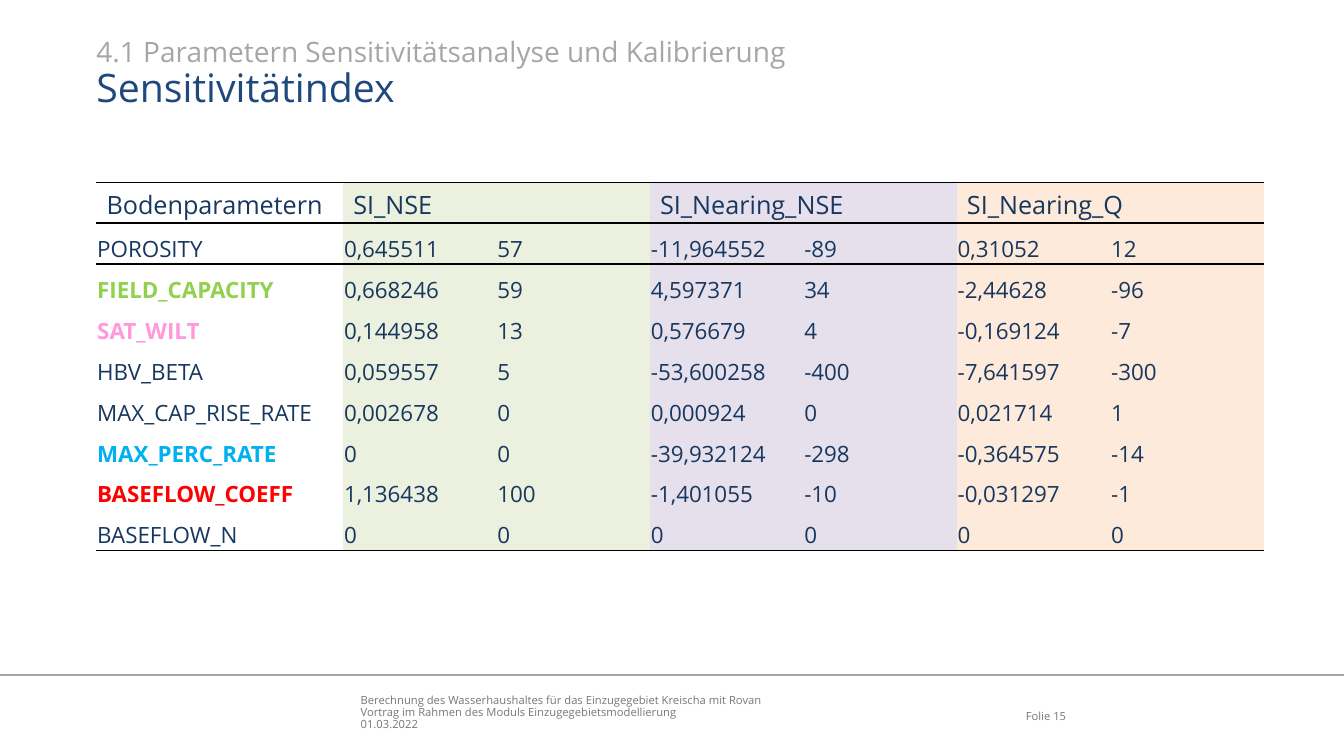
from lxml import etree
from pptx import Presentation
from pptx.dml.color import RGBColor
from pptx.enum import shapes, text
from pptx.oxml import ns
from pptx.util import Cm, Pt

FONT = "Open Sans"
GREY = RGBColor(0xA6, 0xA6, 0xA6)
FOOTER_GREY = RGBColor(0x72, 0x78, 0x79)
TITLE_BLUE = RGBColor(0x1F, 0x49, 0x7D)
TEXT_BLUE = RGBColor(0x17, 0x37, 0x5E)
GREEN = RGBColor(0x92, 0xD0, 0x50)
PINK = RGBColor(0xFF, 0x98, 0xDD)
CYAN = RGBColor(0x00, 0xB0, 0xF0)
RED = RGBColor(0xFF, 0x00, 0x00)
PALE_GREEN = RGBColor(0xEB, 0xF1, 0xDE)
PALE_PURPLE = RGBColor(0xE6, 0xE0, 0xEC)
PALE_ORANGE = RGBColor(0xFD, 0xEA, 0xDA)

NO_TABLE_STYLE = "{2D5ABB26-0587-4C30-8999-92F81FD0307C}"
INDEX_GROUPS = [
    ("SI_NSE", PALE_GREEN),
    ("SI_Nearing_NSE", PALE_PURPLE),
    ("SI_Nearing_Q", PALE_ORANGE),
]
PARAMETERS = [
    ("POROSITY", "0,645511", "57", "-11,964552", "-89", "0,31052", "12"),
    ("FIELD_CAPACITY", "0,668246", "59", "4,597371", "34", "-2,44628", "-96"),
    ("SAT_WILT", "0,144958", "13", "0,576679", "4", "-0,169124", "-7"),
    ("HBV_BETA", "0,059557", "5", "-53,600258", "-400", "-7,641597", "-300"),
    ("MAX_CAP_RISE_RATE", "0,002678", "0", "0,000924", "0", "0,021714", "1"),
    ("MAX_PERC_RATE", "0", "0", "-39,932124", "-298", "-0,364575", "-14"),
    ("BASEFLOW_COEFF", "1,136438", "100", "-1,401055", "-10", "-0,031297", "-1"),
    ("BASEFLOW_N", "0", "0", "0", "0", "0", "0"),
]
HIGHLIGHTS = {
    "FIELD_CAPACITY": GREEN,
    "SAT_WILT": PINK,
    "MAX_PERC_RATE": CYAN,
    "BASEFLOW_COEFF": RED,
}


def add_text(paragraph, content, size, color, bold=False):
    run = paragraph.add_run()
    run.text = content
    run.font.name = FONT
    run.font.size = Pt(size)
    run.font.bold = bold
    run.font.color.rgb = color


def add_text_box(slide, left, top, width, height, anchor, bottom_inset=0):
    frame = slide.shapes.add_textbox(left, top, width, height).text_frame
    frame.word_wrap = True
    frame.vertical_anchor = anchor
    frame.margin_left = frame.margin_right = frame.margin_top = 0
    frame.margin_bottom = bottom_inset
    return frame


def add_title(slide, left, top, width, height):
    frame = add_text_box(slide, left, top, width, height, text.MSO_ANCHOR.TOP)
    paragraph = frame.paragraphs[0]
    paragraph.line_spacing = 0.9
    add_text(paragraph, "4.1 Parametern Sensitivitätsanalyse und Kalibrierung", 20, GREY)
    paragraph.add_line_break()
    add_text(paragraph, "Sensitivitätindex", 28, TITLE_BLUE)


def set_borders(cell, edges):
    """Draw thin black lines on the given edges, "T" before "B"."""
    properties = cell._tc.get_or_add_tcPr()
    for position, edge in enumerate(edges):
        line = etree.Element(ns.qn(f"a:ln{edge}"), w=str(Pt(1)))
        fill = etree.SubElement(line, ns.qn("a:solidFill"))
        etree.SubElement(fill, ns.qn("a:srgbClr"), val="000000")
        properties.insert(position, line)


def fill_cell(cell, content, is_header, background, color):
    cell.vertical_anchor = text.MSO_ANCHOR.TOP if is_header else text.MSO_ANCHOR.BOTTOM
    if not is_header:
        cell.margin_left = cell.margin_right = cell.margin_top = Cm(0.02)
        cell.margin_bottom = 0
    if background is None:
        cell.fill.background()
    else:
        cell.fill.solid()
        cell.fill.fore_color.rgb = background
    if content:
        add_text(cell.text_frame.paragraphs[0], content, 18 if is_header else 16,
                 color, bold=color != TEXT_BLUE)


def add_index_table(slide, left, top, width, height):
    header = ["Bodenparametern"]
    backgrounds = [None]
    for name, background in INDEX_GROUPS:
        header += [name, ""]
        backgrounds += [background] * 2
    rows = [header, *PARAMETERS]

    frame = slide.shapes.add_table(len(rows), len(header), left, top, width, height)
    table = frame.table
    table.first_row = table.horz_banding = False
    table._tbl.tblPr.find(ns.qn("a:tableStyleId")).text = NO_TABLE_STYLE
    name_width = Cm(6.22)
    for index, column in enumerate(table.columns):
        column.width = (width - name_width) // (len(header) - 1) if index else name_width
    for row in table.rows:
        row.height = height // len(rows)

    borders = {0: "TB", 1: "T", len(rows) - 1: "B"}
    for row_index, row in enumerate(rows):
        for column_index, content in enumerate(row):
            cell = table.cell(row_index, column_index)
            color = HIGHLIGHTS.get(content, TEXT_BLUE)
            fill_cell(cell, content, row_index == 0, backgrounds[column_index], color)
            set_borders(cell, borders.get(row_index, ""))
    for column_index in range(1, len(header), 2):
        table.cell(0, column_index).merge(table.cell(0, column_index + 1))


def add_footer(slide, left, top, width, height):
    rule = slide.shapes.add_connector(
        shapes.MSO_CONNECTOR.STRAIGHT, left, top, left + width, top)
    rule.line.color.rgb = GREY
    rule.line.width = Pt(1)
    etree.SubElement(rule._element.spPr, ns.qn("a:effectLst"))

    lines = [
        "Berechnung des Wasserhaushaltes für das Einzugegebiet Kreischa mit Rovan",
        "Vortrag im Rahmen des Moduls Einzugegebietsmodellierung",
        "01.03.2022",
    ]
    bottom = text.MSO_ANCHOR.BOTTOM
    talk = add_text_box(slide, left + Cm(9.09), top + Cm(0.38), Cm(14.4), Cm(1.04), bottom)
    for index, line in enumerate(lines):
        paragraph = talk.add_paragraph() if index else talk.paragraphs[0]
        paragraph.line_spacing = 0.9
        add_text(paragraph, line, 8, FOOTER_GREY)

    number = add_text_box(slide, left + Cm(24.92), top - Cm(0.3), Cm(1.95), height,
                          bottom, bottom_inset=Cm(0.35))
    number.paragraphs[0].alignment = text.PP_ALIGN.RIGHT
    number.paragraphs[0].line_spacing = 0.9
    add_text(number.paragraphs[0], "Folie 15", 8, FOOTER_GREY)


def main():
    presentation = Presentation()
    presentation.slide_width = Cm(33.87)
    presentation.slide_height = Cm(19.05)
    slide = presentation.slides.add_slide(presentation.slide_layouts[6])
    add_footer(slide, 0, Cm(17.01), presentation.slide_width, Cm(1.83))
    add_title(slide, Cm(2.43), Cm(0.97), Cm(29.4), Cm(1.88))
    add_index_table(slide, Cm(2.43), Cm(4.59), Cm(29.42), Cm(9.28))
    presentation.save("out.pptx")


if __name__ == "__main__":
    main()
